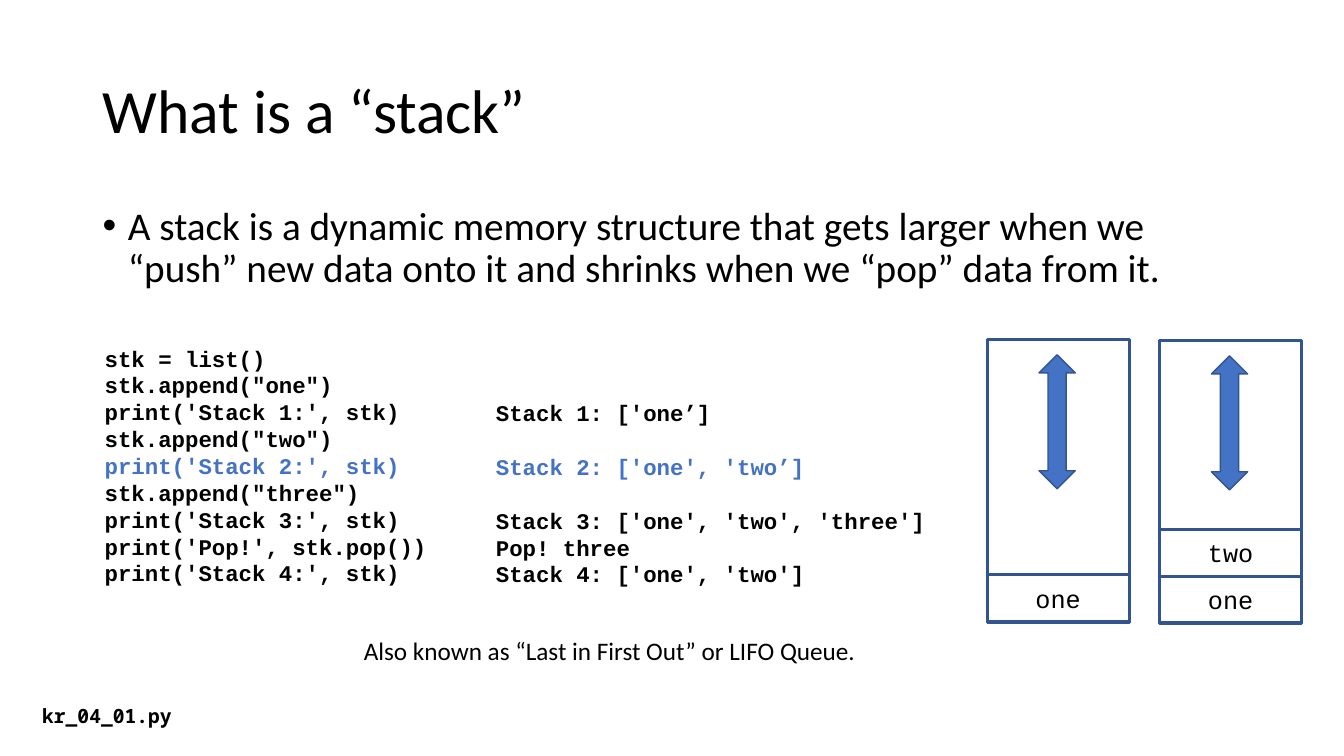
"""Builds the slide that explains what a stack is."""
from lxml import etree
from pptx import Presentation
from pptx.dml.color import RGBColor
from pptx.enum.shapes import MSO_SHAPE
from pptx.enum.text import MSO_ANCHOR, MSO_AUTO_SIZE, PP_ALIGN
from pptx.oxml.ns import qn
from pptx.util import Inches, Pt

RECTANGLE = MSO_SHAPE.RECTANGLE
DOUBLE_ARROW = MSO_SHAPE.UP_DOWN_ARROW
MIDDLE, TOP = MSO_ANCHOR.MIDDLE, MSO_ANCHOR.TOP
CENTER, LEFT = PP_ALIGN.CENTER, PP_ALIGN.LEFT
FIT_SHAPE = MSO_AUTO_SIZE.SHAPE_TO_FIT_TEXT

COLORS = {"ink": "000000", "paper": "FFFFFF", "accent": "4472C4", "outline": "325491"}
BODY, CODE, FILE = "Calibri", "Courier New", "Noto Sans Mono"
CELL = 0.1
CODE_LINE = 19.3

CODE_LINES = [
    "stk = list()",
    'stk.append("one")',
    "print('Stack 1:', stk)",
    'stk.append("two")',
    "print('Stack 2:', stk)",
    'stk.append("three")',
    "print('Stack 3:', stk)",
    "print('Pop!', stk.pop())",
    "print('Stack 4:', stk)",
]
OUTPUT_LINES = [
    ("Stack 1: ['one’]", 0),
    ("Stack 2: ['one', 'two’]", CODE_LINE),
    ("Stack 3: ['one', 'two', 'three']", CODE_LINE),
    ("Pop! three", 0),
    ("Stack 4: ['one', 'two']", 0),
]
STACKS = [(97.9, 33.7, ["one"]), (115, 33.8, ["one", "two"])]


class StackSlide:
    """Holds the style and the current slide, measured in cells of a tenth of an inch."""

    def __init__(self, presentation):
        """Add a blank slide to the presentation."""
        self.slide = presentation.slides.add_slide(presentation.slide_layouts[6])

    def place(self, *cells):
        """Turn grid cells into slide lengths."""
        return [Inches(cell * CELL) for cell in cells]

    def color(self, name):
        """Look up a colour of the style."""
        return RGBColor.from_string(COLORS[name])

    def add_run(self, paragraph, text, size, font=BODY, color="ink", bold=False):
        """Add one styled run to a paragraph."""
        run = paragraph.add_run()
        run.text = text
        run.font.size = Pt(size)
        run.font.name = font
        run.font.bold = bold
        run.font.color.rgb = self.color(color)

    def text_box(self, box, lines, size, font=BODY, bold=False, wrap=True, fit=True, anchor=TOP):
        """Add a text box from (text, space before, colour) lines and return its paragraphs."""
        frame = self.slide.shapes.add_textbox(*self.place(*box)).text_frame
        frame.word_wrap = wrap
        frame.vertical_anchor = anchor
        if fit:
            frame.auto_size = FIT_SHAPE
        for index, (text, space, color) in enumerate(lines):
            paragraph = frame.add_paragraph() if index else frame.paragraphs[0]
            paragraph.alignment = LEFT
            if space:
                paragraph.space_before = Pt(space)
            self.add_run(paragraph, text, size, font, color, bold)
        return frame.paragraphs

    def title(self, box, text):
        """Add the slide title."""
        paragraphs = self.text_box(box, [(text, 0, "ink")], 44, fit=False, anchor=MIDDLE)
        paragraphs[0].line_spacing = 0.9

    def bullet(self, box, text):
        """Add a bulleted statement with a hanging indent."""
        paragraph = self.text_box(box, [(text, 10, "ink")], 28, fit=False)[0]
        paragraph.line_spacing = 0.9
        properties = paragraph._p.get_or_add_pPr()
        properties.set("marL", str(Inches(0.25)))
        properties.set("indent", str(Inches(-0.25)))
        etree.SubElement(properties, qn("a:buFont")).set("typeface", "Arial")
        etree.SubElement(properties, qn("a:buChar")).set("char", "•")

    def code(self, box, lines):
        """Add code, with the lines about the second stack in the accent colour."""
        colored = [(text, space, "accent" if "Stack 2" in text else "ink") for text, space in lines]
        self.text_box(box, colored, 16, CODE, bold=True, wrap=False)

    def shape(self, kind, box, fill, line_width, label=""):
        """Add a filled and outlined shape with an optional centred label."""
        shape = self.slide.shapes.add_shape(kind, *self.place(*box))
        shape.shadow.inherit = False
        shape.fill.solid()
        shape.fill.fore_color.rgb = self.color(fill)
        shape.line.color.rgb = self.color("outline")
        shape.line.width = Pt(line_width)
        if label:
            shape.text_frame.vertical_anchor = MIDDLE
            paragraph = shape.text_frame.paragraphs[0]
            paragraph.alignment = CENTER
            self.add_run(paragraph, label, 18, CODE)

    def stack(self, left, top, items):
        """Draw a stack with its items from the bottom up and a double arrow."""
        self.shape(RECTANGLE, (left, top, 14.1, 28.1), "paper", 2.25)
        for level, item in enumerate(items):
            item_top = top + 23.3 - 4.6 * level
            self.shape(RECTANGLE, (left, item_top, 14.1, 4.7), "paper", 2.25, item)
        self.shape(DOUBLE_ARROW, (left + 5.15, top + 1.5, 3.6, 13.3), "accent", 1)


def main():
    """Build and save the slide."""
    presentation = Presentation()
    presentation.slide_width = Inches(13.33)
    presentation.slide_height = Inches(7.5)
    page = StackSlide(presentation)
    page.title((9.2, 4, 115, 14.5), "What is a “stack”")
    page.bullet(
        (9.2, 20, 115, 11.8),
        "A stack is a dynamic memory structure that gets larger when we "
        "“push” new data onto it and shrinks when we “pop” data from it.",
    )
    page.code((9.4, 33.7, 34.4, 25.2), [(text, 0) for text in CODE_LINES])
    page.text_box((3.2, 69.3, 15.1, 3.4), [("kr_04_01.py", 0, "ink")], 14, FILE, bold=True)
    page.code((48.2, 39.1, 45.2, 19.9), OUTPUT_LINES)
    for left, top, items in STACKS:
        page.stack(left, top, items)
    page.text_box(
        (35.1, 62.5, 51.3, 4),
        [("Also known as “Last in First Out” or LIFO Queue.", 0, "ink")],
        18,
        wrap=False,
    )
    presentation.save("out.pptx")


if __name__ == "__main__":
    main()
